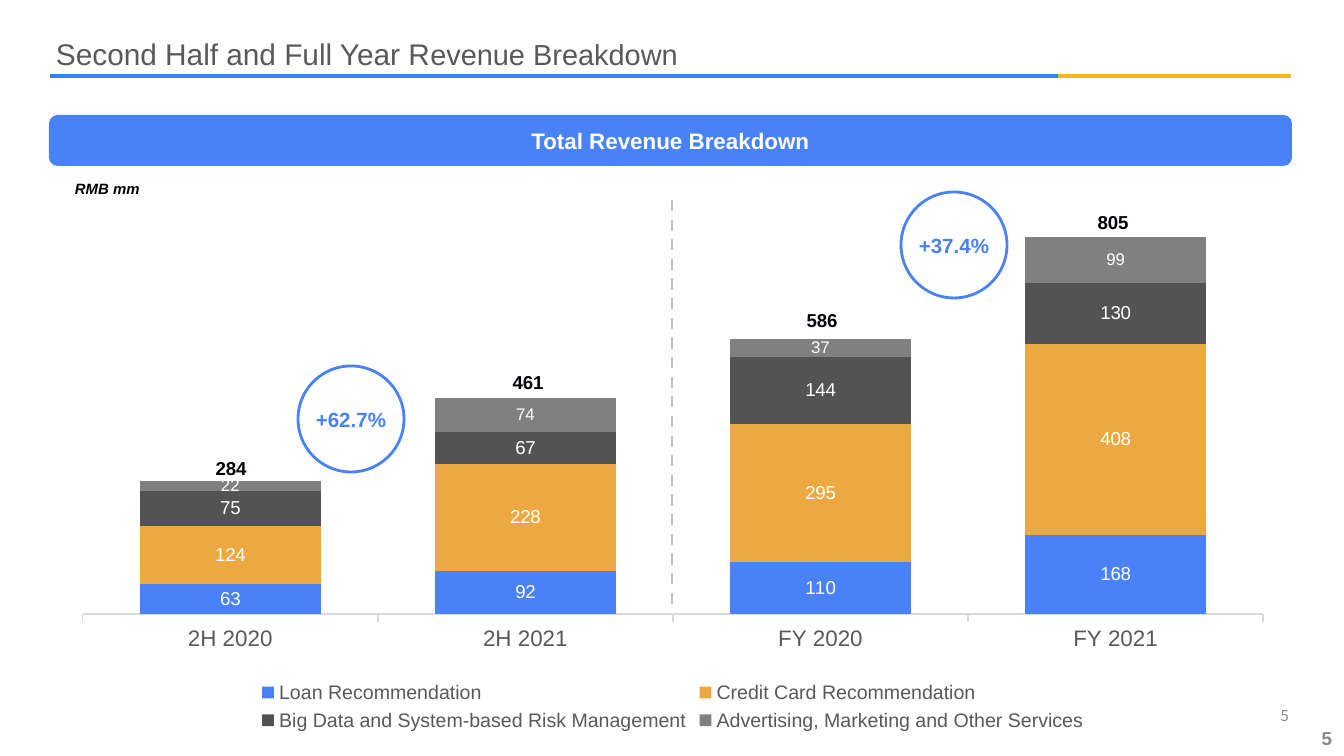
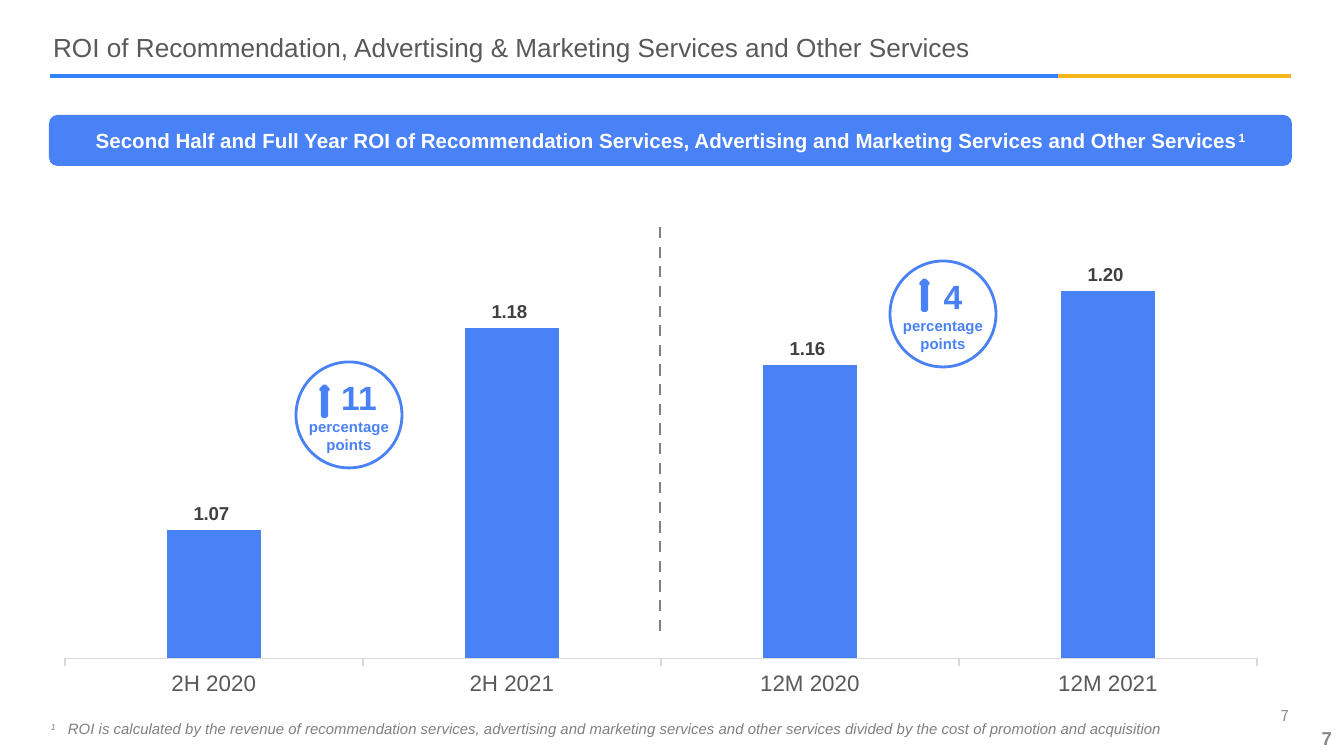
"""Build two revenue and ROI slides with charts, growth badges and shared page furniture."""
from lxml import etree
from pptx import Presentation
from pptx import util as u
from pptx.chart.data import CategoryChartData
from pptx.dml.color import RGBColor
from pptx.enum import chart as charts, dml, shapes, text
from pptx.oxml import parse_xml
from pptx.oxml.ns import qn

SCALE = 914400 / 134.4
BLUE, AMBER, DARK, GREY = "4981F7", "ECA841", "535353", "808080"
BODY, PAGE_GREY, BLACK, WHITE = "595959", "888888", "000000", "FFFFFF"
FONT, NUMBER_FONT = "Arial", "Noto Sans CJK SC"
LEFT, CENTER, RIGHT = text.PP_ALIGN.LEFT, text.PP_ALIGN.CENTER, text.PP_ALIGN.RIGHT
TOP, MIDDLE, BOTTOM = text.MSO_ANCHOR.TOP, text.MSO_ANCHOR.MIDDLE, text.MSO_ANCHOR.BOTTOM
BADGE = 106

REVENUE = {
    "number": "5",
    "title": [("Second Half and Full Year R", dict(size=16)),
              ("evenue Breakdown", dict(size=15.5))],
    "title_at": (56, 36),
    "banner": [("Total Revenue Breakdown", dict(size=12))],
    "chart": {
        "kind": charts.XL_CHART_TYPE.COLUMN_STACKED,
        "frame": (62, 173, 1222, 564),
        "plot": (0.017, 0.034, 0.966, 0.748),
        "categories": ["2H 2020", "2H 2021", "FY 2020", "FY 2021"],
        "series": [
            ("Loan Recommendation", [63, 92, 110, 168], BLUE, 10),
            ("Credit Card Recommendation", [124, 228, 295, 408], AMBER, 10),
            ("Big Data and System-based Risk Management", [75, 67, 144, 130], DARK, 10),
            ("Advertising, Marketing and Other Services", [22, 74, 37, 99], GREY, 9),
        ],
        "limits": (0, 900), "gap": 63, "overlap": 100, "format": "0", "legend": True,
        "position": charts.XL_LABEL_POSITION.CENTER,
        "label": dict(color=WHITE, bold=False),
    },
    "divider": (672, 200, 605, "BFBFBF"),
}
UNIT = "RMB mm"
TOTALS = [("284", 231, 468), ("461", 528, 382), ("586", 822, 320), ("805", 1113, 222)]
GROWTH = [("+62.7%", 298, 366), ("+37.4%", 901, 192)]

ROI = {
    "number": "7",
    "title": [("ROI of Recommendation, Advertising & Marketing Services and Other Services",
               dict(size=14))],
    "title_at": (53, 31),
    "banner": [("Second Half and Full Year ROI of Recommendation Services, "
                "Advertising and Marketing Services and Other Services", dict(size=11)),
               ("1", dict(size=11, raised=True))],
    "chart": {
        "kind": charts.XL_CHART_TYPE.COLUMN_CLUSTERED,
        "frame": (40, 191, 1242, 516),
        "plot": (0.02, 0.016, 0.96, 0.89),
        "categories": ["2H 2020", "2H 2021", "12M 2020", "12M 2021"],
        "series": [("ROI", [1.07, 1.18, 1.16, 1.20], BLUE, 10)],
        "limits": (1, 1.25), "gap": 219, "overlap": -27, "legend": False,
        "format": r"0.00_);[Red]\(0.00\)",
        "position": charts.XL_LABEL_POSITION.OUTSIDE_END,
        "label": dict(color="404040", bold=True),
    },
    "divider": (660, 227, 631, GREY),
}
POINTS = [("11", 296, 362, 25, 24), ("4", 890, 261, 31, 19)]
FOOTNOTE = ("ROI is calculated by the revenue of recommendation services, advertising and "
            "marketing services and other services divided by the cost of promotion and acquisition")


def px(value):
    return u.Emu(round(value * SCALE))


def rgb(value):
    return RGBColor.from_string(value)


def style(font, size=10, color=BLACK, name=FONT, raised=False, **values):
    font.color.rgb = rgb(color)
    for key, value in dict(values, size=u.Pt(size), name=name).items():
        setattr(font, key, value)
    if raised:
        font._element.set("baseline", "30000")


def write(shape, paragraphs, align=LEFT, anchor=TOP, wrap=True, **shared):
    frame = shape.text_frame
    values = dict(margin_left=0, margin_right=0, margin_top=0, margin_bottom=0,
                  word_wrap=wrap, vertical_anchor=anchor)
    for key, value in values.items():
        setattr(frame, key, value)
    for index, spans in enumerate(paragraphs):
        para = frame.add_paragraph() if index else frame.paragraphs[0]
        para.alignment = align
        for words, values in spans:
            span = para.add_run()
            span.text = words
            style(span.font, **{**shared, **values})
    return frame


def add_text(page, frame, paragraphs, **values):
    box = page.shapes.add_textbox(*map(px, frame))
    return write(box, paragraphs, **values)


def add_shape(page, kind, frame, fill=None, line=None, width=1.5):
    shape = page.shapes.add_shape(kind, *map(px, frame))
    shape.shadow.inherit = False
    for part, color in ((shape.fill, fill), (shape.line.fill, line)):
        if color:
            part.solid()
            part.fore_color.rgb = rgb(color)
        else:
            part.background()
    if line:
        shape.line.width = u.Pt(width)
    return shape


def add_line(page, ends, color, width, dash=None):
    line = page.shapes.add_connector(shapes.MSO_CONNECTOR.STRAIGHT, *map(px, ends))
    line.line.color.rgb = rgb(color)
    line.line.width = u.Pt(width)
    if dash:
        line.line.dash_style = dash
    etree.SubElement(line._element.spPr, qn("a:effectLst"))


def place_plot(chart, plot):
    area = chart._chartSpace.chart.plotArea
    for old in area.findall(qn("c:layout")):
        area.remove(old)
    sizes = "".join(f'<c:{key} val="{value}"/>' for key, value in zip("xywh", plot))
    modes = '<c:layoutTarget val="inner"/><c:xMode val="edge"/><c:yMode val="edge"/>'
    area.insert(0, parse_xml(
        '<c:layout xmlns:c="http://schemas.openxmlformats.org/drawingml/2006/chart">'
        f"<c:manualLayout>{modes}{sizes}</c:manualLayout></c:layout>"))


def add_chart(page, content):
    data = CategoryChartData(number_format=content["format"])
    data.categories = content["categories"]
    for name, values, _, _ in content["series"]:
        data.add_series(name, values)
    chart = page.shapes.add_chart(content["kind"], *map(px, content["frame"]), data).chart
    style(chart.font)
    chart.has_title = False
    chart.has_legend = content["legend"]
    if chart.has_legend:
        chart.legend.position = charts.XL_LEGEND_POSITION.BOTTOM
        chart.legend.include_in_layout = False
        style(chart.legend.font, 10.5, BODY)
    values = chart.value_axis
    values.minimum_scale, values.maximum_scale = content["limits"]
    values.has_major_gridlines = values.visible = False
    axis = chart.category_axis
    axis.major_tick_mark = charts.XL_TICK_MARK.OUTSIDE
    axis.format.line.color.rgb = rgb("D9D9D9")
    axis.format.line.width = u.Pt(0.75)
    style(axis.tick_labels.font, 12, BODY)
    plot = chart.plots[0]
    plot.gap_width, plot.overlap = content["gap"], content["overlap"]
    plot.vary_by_categories = False
    for series, (_, _, color, size) in zip(plot.series, content["series"]):
        series.format.fill.solid()
        series.format.fill.fore_color.rgb = rgb(color)
        labels = series.data_labels
        label_format = dict(show_value=True, position=content["position"],
                            number_format=content["format"], number_format_is_linked=False)
        for key, value in label_format.items():
            setattr(labels, key, value)
        style(labels.font, size, **content["label"])
    place_plot(chart, content["plot"])


def add_page(deck, content):
    page = deck.slides.add_slide(deck.slide_layouts[6])
    add_line(page, (50, 76, 1059, 76), "3281FF", 2)
    add_line(page, (1058, 76, 1291, 76), "F5B61D", 2)
    number = content["number"]
    add_text(page, (1064, 707, 225, 17), [[(number, dict(size=8, name=NUMBER_FONT))]],
             align=RIGHT, color=PAGE_GREY)
    add_text(page, (1224, 723, 108, 31), [[(number, dict(bold=True))]],
             align=RIGHT, anchor=MIDDLE, color=PAGE_GREY)
    add_chart(page, content["chart"])
    banner = add_shape(page, shapes.MSO_SHAPE.ROUNDED_RECTANGLE, (49, 115, 1243, 51), BLUE)
    write(banner, [content["banner"]], align=CENTER, anchor=MIDDLE, wrap=False,
          color=WHITE, bold=True)
    add_text(page, (*content["title_at"], 1160, 36), [content["title"]], color=BODY)
    x, top, bottom, color = content["divider"]
    add_line(page, (x, top, x, bottom), color, 1.5, dml.MSO_LINE.DASH)
    return page


def add_badge(page, x, y, paragraphs):
    frame = (x, y, BADGE, BADGE)
    add_shape(page, shapes.MSO_SHAPE.OVAL, frame, line=BLUE)
    return add_text(page, frame, paragraphs, align=CENTER, anchor=MIDDLE,
                    color=BLUE, bold=True)


def build_revenue(deck):
    page = add_page(deck, REVENUE)
    add_text(page, (75, 180, 610, 18), [[(UNIT, dict(size=8, bold=True, italic=True))]])
    for total, x, y in TOTALS:
        add_text(page, (x - 44, y - 18, 88, 36), [[(total, dict(bold=True))]],
                 align=CENTER, anchor=MIDDLE, color="000005")
    for growth, x, y in GROWTH:
        add_badge(page, x, y, [[(growth, dict(size=11))]])


def build_roi(deck):
    page = add_page(deck, ROI)
    note = add_text(page, (51, 712, 1228, 26),
                    [[("1\t", dict(raised=True)), (FOOTNOTE, {})]],
                    anchor=BOTTOM, size=8, color=GREY, italic=True)
    indent = note.paragraphs[0]._p.get_or_add_pPr()
    indent.set("marL", str(px(17)))
    indent.set("indent", str(px(-17)))
    for points, x, y, dx, dy in POINTS:
        label = add_badge(page, x, y, [[(points, dict(size=18))],
                                       [("percentage points", dict(size=8))]])
        label.paragraphs[0]._p.get_or_add_pPr().set("marL", str(px(20)))
        add_shape(page, shapes.MSO_SHAPE.UP_ARROW, (x + dx, y + dy, 7, 30), BLUE, BLUE, 2)


def main():
    deck = Presentation()
    deck.slide_width, deck.slide_height = px(1344), px(756)
    build_revenue(deck)
    build_roi(deck)
    deck.save("out.pptx")


if __name__ == "__main__":
    main()
